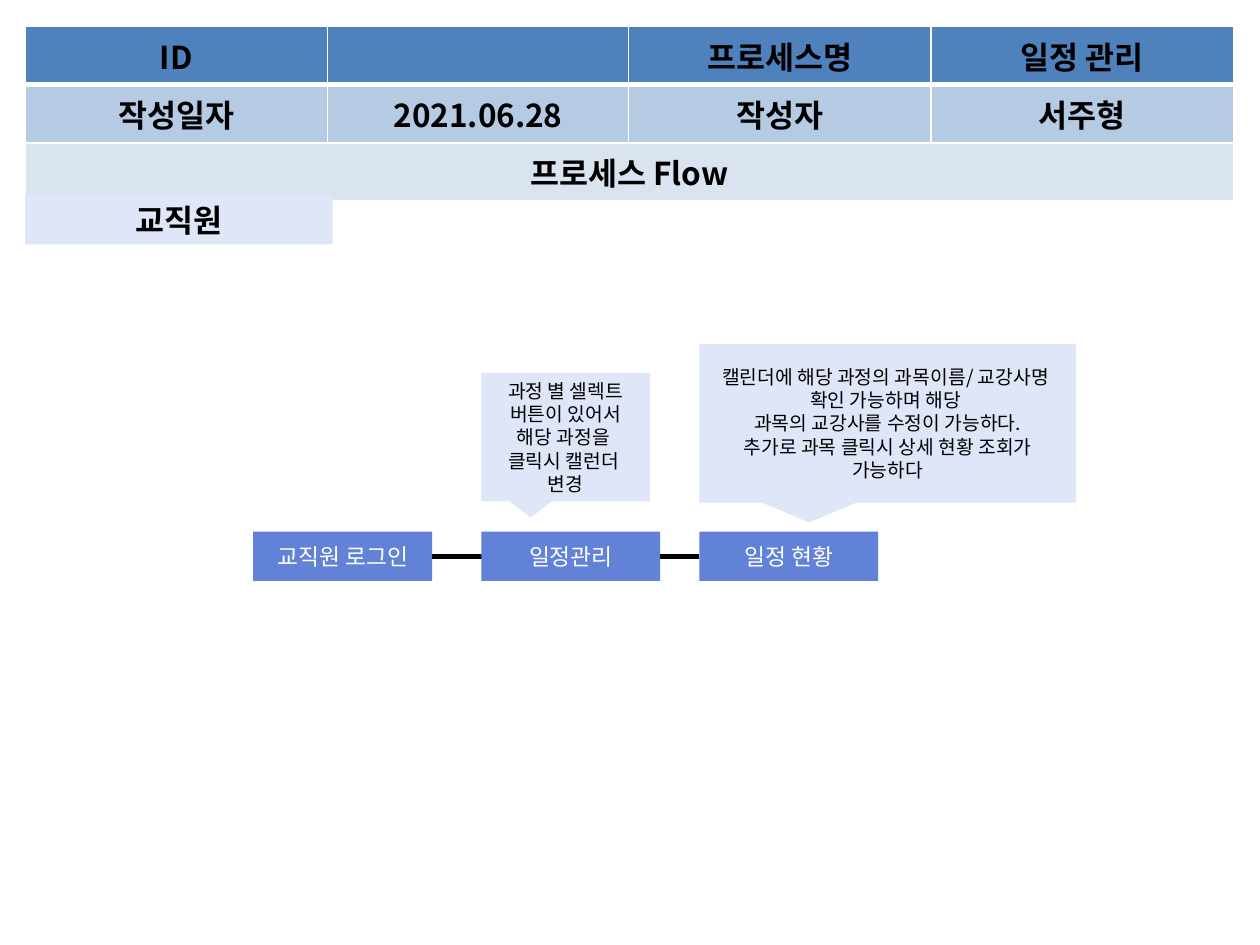
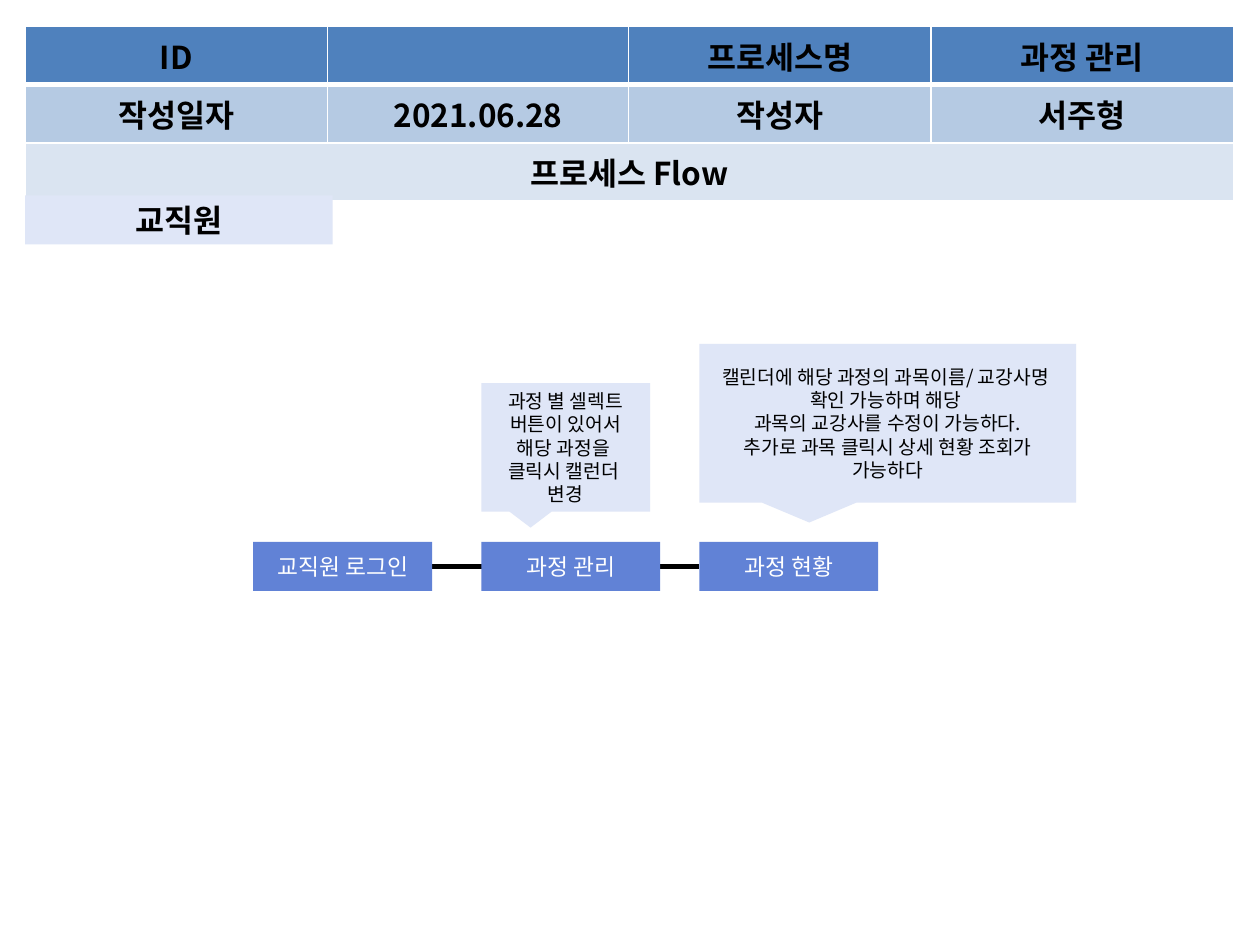
from lxml.etree import SubElement
from pptx import Presentation
from pptx.dml.color import RGBColor
from pptx.enum.shapes import MSO_CONNECTOR, MSO_SHAPE
from pptx.enum.text import MSO_ANCHOR, PP_ALIGN
from pptx.oxml.ns import qn
from pptx.util import Inches, Pt

FONT = "Noto Sans CJK KR"
COLORS = {
    "header": "4F81BD",
    "info": "B5CAE3",
    "flow": "DAE4F1",
    "pale": "DFE6F7",
    "step": "6182D6",
    "white": "FFFFFF",
    "black": "000000",
}
COLUMNS = [1.02, 1.38, 2.39, 2.4, 2.4]
ROW_H = 0.41
STEP_X = [2.01, 3.82, 5.55]
STEP_W, STEP_H = 1.42, 0.39


def rgb(name):
    """Return the named palette colour."""
    return RGBColor.from_string(COLORS[name])


def write(tf, text, size=18, color="black", bold=False):
    """Fill a text frame with centred paragraphs, one per line of text."""
    tf.word_wrap = True
    for i, line in enumerate(text.split("\n")):
        p = tf.add_paragraph() if i else tf.paragraphs[0]
        p.alignment = PP_ALIGN.CENTER
        r = p.add_run()
        r.text = line
        r.font.size, r.font.bold, r.font.name = Pt(size), bold, FONT
        r.font.color.rgb = rgb(color)
        SubElement(r.font._element, qn("a:ea"), typeface=FONT)


def add_borders(cell, bottom):
    """Give a table cell white borders, with its own bottom width in points."""
    tcPr = cell._tc.get_or_add_tcPr()
    for side, width in (("L", 1), ("R", 1), ("T", 1), ("B", bottom)):
        ln = SubElement(tcPr, qn(f"a:ln{side}"), w=str(Pt(width)))
        fill = SubElement(ln, qn("a:solidFill"))
        SubElement(fill, qn("a:srgbClr"), val=COLORS["white"])


class FlowDeck:
    """Holds the deck style and the slide being drawn."""

    def __init__(self):
        """Start an empty 4:3 deck."""
        self.prs = Presentation()
        self.prs.slide_width, self.prs.slide_height = Inches(10), Inches(7.5)
        self.s = None

    def new_slide(self):
        """Start a blank slide."""
        self.s = self.prs.slides.add_slide(self.prs.slide_layouts[6])

    def box(self, text, x, y, w, h, fill, shape=MSO_SHAPE.RECTANGLE, **fmt):
        """Add a filled shape without outline, with text in its middle."""
        sp = self.s.shapes.add_shape(shape, Inches(x), Inches(y), Inches(w), Inches(h))
        sp.shadow.inherit = False
        sp.fill.solid()
        sp.fill.fore_color.rgb = rgb(fill)
        sp.line.fill.background()
        sp.text_frame.vertical_anchor = MSO_ANCHOR.MIDDLE
        write(sp.text_frame, text, **fmt)
        return sp

    def callout(self, text, x, y, w, h):
        """Add a note that points down to its step."""
        sp = self.box(text, x, y, w, h, "pale", MSO_SHAPE.RECTANGULAR_CALLOUT, size=11)
        sp.adjustments[0], sp.adjustments[1] = -0.208, 0.625

    def line(self, x1, x2, y):
        """Add a thick horizontal line."""
        cn = self.s.shapes.add_connector(
            MSO_CONNECTOR.STRAIGHT, Inches(x1), Inches(y), Inches(x2), Inches(y))
        cn.line.color.rgb = rgb("black")
        cn.line.width = Pt(3)
        SubElement(cn._element.spPr, qn("a:effectLst"))

    def info_table(self, process):
        """Add the table that names the process, its date and its author."""
        rows = [
            ("header", ["ID", "", "", "프로세스명", process]),
            ("info", ["작성일자", "", "2021.06.28", "작성자", "서주형"]),
            ("flow", ["프로세스 Flow", "", "", "", ""]),
        ]
        table = self.s.shapes.add_table(
            len(rows), len(COLUMNS), Inches(0.2), Inches(0.21),
            Inches(sum(COLUMNS)), Inches(ROW_H * len(rows))).table
        for col, width in zip(table.columns, COLUMNS):
            col.width = Inches(width)
        for i, (fill, texts) in enumerate(rows):
            table.rows[i].height = Inches(ROW_H)
            for j, text in enumerate(texts):
                cell = table.cell(i, j)
                add_borders(cell, bottom=3 if i == 0 else 1)
                cell.fill.solid()
                cell.fill.fore_color.rgb = rgb(fill)
                if text:
                    write(cell.text_frame, text, bold=True)
        for i, last in enumerate((1, 1, 4)):
            table.cell(i, 0).merge(table.cell(i, last))

    def process_slide(self, process, steps, step_y):
        """Draw one process: table, role, linked steps and their notes."""
        self.new_slide()
        self.line(STEP_X[0] + STEP_W, STEP_X[-1], step_y + STEP_H / 2)
        self.info_table(process)
        self.box("교직원", 0.2, 1.55, 2.44, 0.39, "pale", bold=True)
        for x, step in zip(STEP_X, steps):
            self.box(step, x, step_y, STEP_W, STEP_H, "step", size=13, color="white")
        self.callout(SELECT_NOTE, STEP_X[1], step_y - 1.26, 1.34, 1.02)
        self.callout(CALENDAR_NOTE, STEP_X[2], 2.73, 2.99, 1.26)


SELECT_NOTE = "과정 별 셀렉트 버튼이 있어서 해당 과정을 \n클릭시 캘런더 \n변경"
CALENDAR_NOTE = (
    "캘린더에 해당 과정의 과목이름/ 교강사명 \n확인 가능하며 해당 \n"
    "과목의 교강사를 수정이 가능하다.\n추가로 과목 클릭시 상세 현황 조회가 가능하다"
)

deck = FlowDeck()
deck.process_slide("일정 관리", ["교직원 로그인", "일정관리", "일정 현황"], 4.22)
deck.process_slide("과정 관리", ["교직원 로그인", "과정 관리", "과정 현황"], 4.3)
deck.prs.save("out.pptx")
